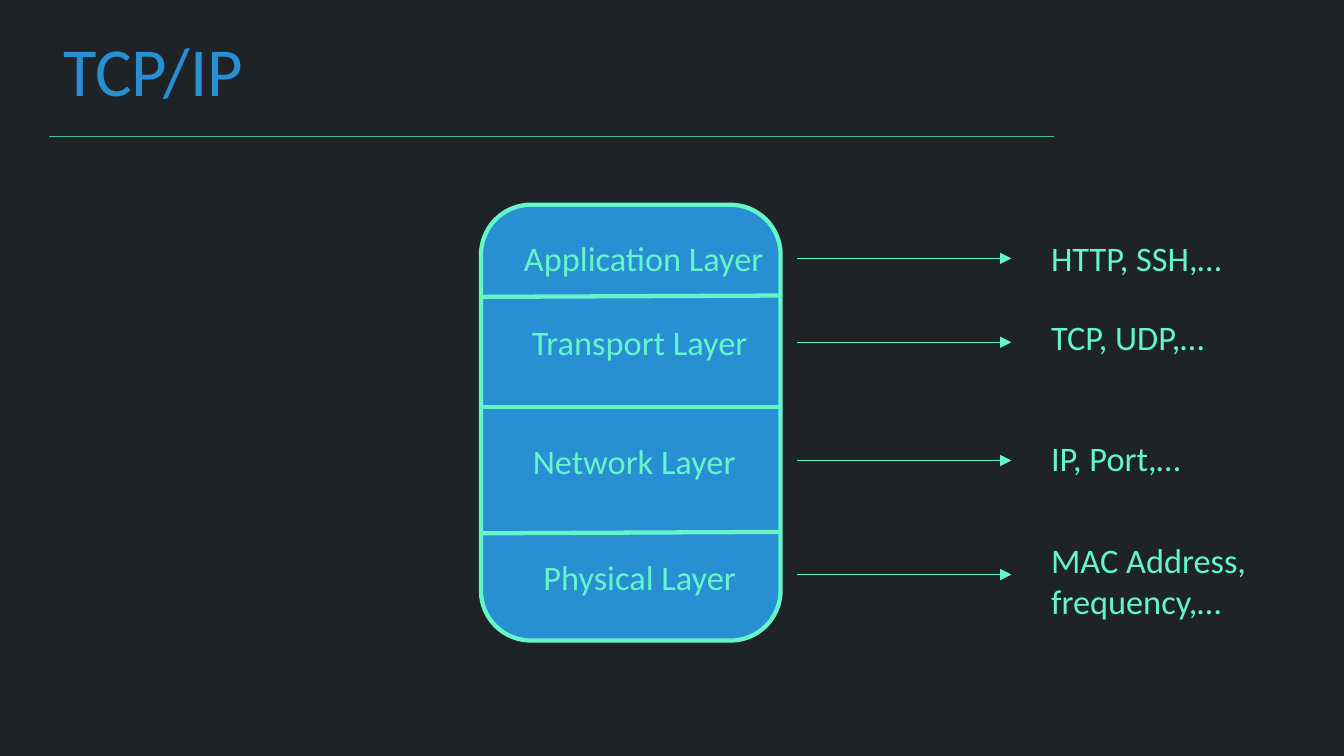
from dataclasses import dataclass

from lxml import etree
from pptx import Presentation
from pptx import util as u
from pptx.dml.color import RGBColor
from pptx.enum import shapes, text
from pptx.oxml import ns

SCALE = 9144  # EMU per px, 100 px to the inch
DARK, BLUE, MINT, TEAL = "1E2328", "288FD3", "64F5C9", "43C09A"
STACK = (350, 149, 218, 317)
EDGE = 567
LEFT, RIGHT = text.PP_ALIGN.LEFT, text.PP_ALIGN.CENTER
CENTER = text.PP_ALIGN.CENTER


@dataclass
class Layer:
    name: str
    left: int
    top: int
    arrow: int
    uses: str
    box: tuple[int, int, int]  # top, width, height


LAYERS = [
    Layer("Application Layer", 366, 168, 188, "HTTP, SSH,…", (168, 159, 40)),
    Layer("Transport Layer", 363, 229, 249, "TCP, UDP,…", (225, 140, 40)),
    Layer("Network Layer", 359, 315, 335, "IP, Port,…", (313, 140, 40)),
    Layer("Physical Layer", 363, 400, 418, "MAC Address, frequency,…", (387, 168, 71)),
]
RULES = [(216, 215), (296, 296), (388, 387)]  # y at the left and right edge


def px(*sizes: int) -> list[u.Emu]:
    return [u.Emu(size * SCALE) for size in sizes]


def paint(fill, color: str) -> None:
    fill.solid()
    fill.fore_color.rgb = RGBColor.from_string(color)


def write(shape, words: str, size: int, color: str, align) -> None:
    frame = shape.text_frame
    frame.text = words
    frame_style = {
        "word_wrap": True,
        "auto_size": text.MSO_AUTO_SIZE.NONE,
        "vertical_anchor": text.MSO_ANCHOR.TOP,
    }
    for key, value in frame_style.items():
        setattr(frame, key, value)
    line = frame.paragraphs[0]
    line.alignment = align
    font = line.runs[0].font
    for key, value in {"name": "Calibri", "size": u.Pt(size)}.items():
        setattr(font, key, value)
    paint(font.fill, color)


def label(slide, box: tuple[int, ...], words: str, align) -> None:
    write(slide.shapes.add_textbox(*px(*box)), words, 18, MINT, align)


def draw(slide, ends: tuple[int, ...], color: str, width: float, arrow: bool = False) -> None:
    """Add a straight line from x1, y1 to x2, y2."""
    line = slide.shapes.add_connector(shapes.MSO_CONNECTOR.STRAIGHT, *px(*ends))
    paint(line.line.fill, color)
    line.line.width = u.Pt(width)
    if arrow:
        tail = etree.SubElement(line.line._get_or_add_ln(), ns.qn("a:tailEnd"))
        tail.set("type", "triangle")
    etree.SubElement(line._element.spPr, ns.qn("a:effectLst"))


def head(slide) -> None:
    draw(slide, (767, 99, 36, 99), TEAL, 0.5)
    title = slide.shapes.title
    names = ("left", "top", "width", "height")
    for key, value in zip(names, px(36, 15, 773, 71)):
        setattr(title, key, value)
    write(title, "TCP/IP", 36, BLUE, LEFT)


def stack(slide) -> None:
    body = slide.shapes.add_shape(shapes.MSO_SHAPE.ROUNDED_RECTANGLE, *px(*STACK))
    body.shadow.inherit = False
    paint(body.fill, BLUE)
    paint(body.line.fill, MINT)
    body.line.width = u.Pt(2.25)
    for start, end in RULES:
        draw(slide, (STACK[0], start, EDGE, end), MINT, 2.25)


def main() -> None:
    deck = Presentation()
    deck.slide_width, deck.slide_height = px(978, 550)
    slide = deck.slides.add_slide(deck.slide_layouts[5])
    paint(slide.background.fill, DARK)
    head(slide)
    stack(slide)
    for layer in LAYERS:
        label(slide, (layer.left, layer.top, 205, 40), layer.name, CENTER)
        draw(slide, (580, layer.arrow, 736, layer.arrow), MINT, 0.5, arrow=True)
        label(slide, (755, *layer.box), layer.uses, LEFT)
    deck.save("out.pptx")


if __name__ == "__main__":
    main()
